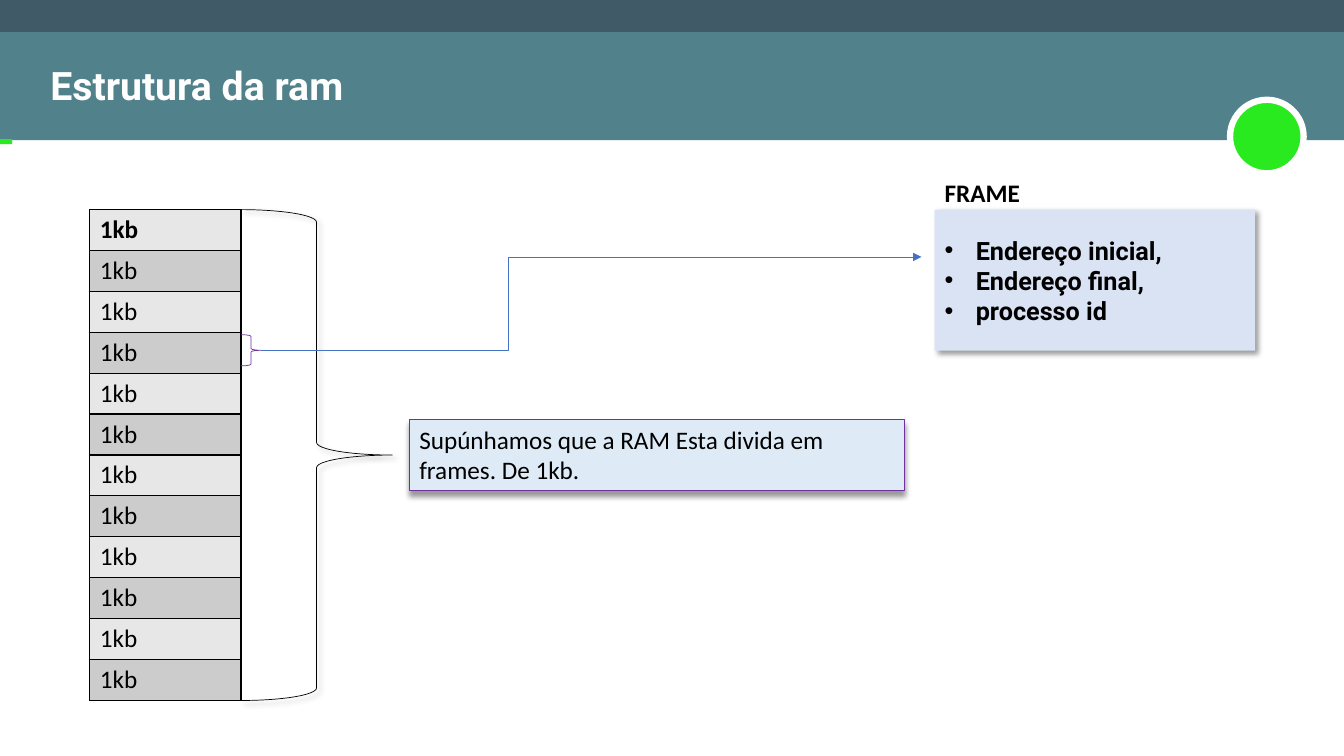
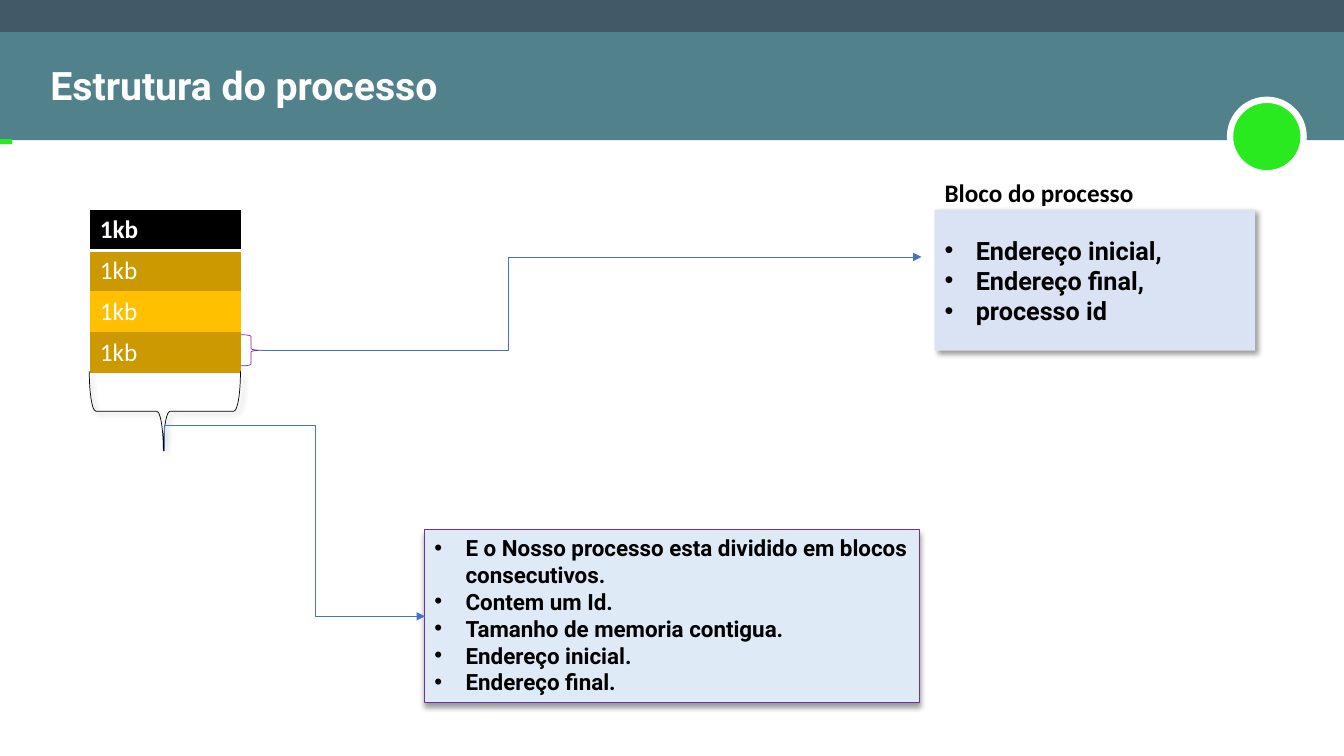
from lxml import etree
from pptx import Presentation
from pptx.dml.color import RGBColor
from pptx.enum.shapes import MSO_CONNECTOR as CONNECTOR, MSO_SHAPE as SHAPE
from pptx.enum.text import MSO_ANCHOR as ANCHOR, PP_ALIGN as ALIGN
from pptx.oxml.ns import qn
from pptx.util import Emu, Pt

EMU_PER_PX = 9144
SLIDE_SIZE = (1333, 750)

BLACK = RGBColor(0x00, 0x00, 0x00)
WHITE = RGBColor(0xFF, 0xFF, 0xFF)
SLATE = RGBColor(0x41, 0x5A, 0x67)
TEAL = RGBColor(0x51, 0x81, 0x8A)
GREEN = RGBColor(0x29, 0xE9, 0x1F)
PURPLE = RGBColor(0x70, 0x30, 0xA0)
ARROW_BLUE = RGBColor(0x44, 0x72, 0xC4)
NOTE_BLUE = RGBColor(0xDE, 0xEB, 0xF7)
RECORD_BLUE = RGBColor(0xDA, 0xE3, 0xF3)
LIGHT_GREY = RGBColor(0xE7, 0xE7, 0xE7)
MID_GREY = RGBColor(0xCC, 0xCC, 0xCC)
AMBER = RGBColor(0xFF, 0xC0, 0x00)
DARK_AMBER = RGBColor(0xCC, 0x9A, 0x00)

TITLE_FONT = {"name": "Roboto", "size": Pt(28), "bold": True}
LIST_FONT = {"name": "Roboto", "size": Pt(18), "bold": True}
SMALL_LIST_FONT = {**LIST_FONT, "size": Pt(16)}
BODY_FONT = {"name": "Calibri", "size": Pt(18), "bold": False}
HEADING_FONT = {**BODY_FONT, "bold": True}

RECORD_FIELDS = ["Endereço inicial,", "Endereço final,", "processo id"]
PROCESS_FACTS = [
    "E o Nosso processo esta dividido em blocos\nconsecutivos.",
    "Contem um Id.",
    "Tamanho de memoria contigua.",
    "Endereço inicial.",
    "Endereço final.",
]


def px(length):
    return Emu(length * EMU_PER_PX)


def emu_box(box):
    return [px(length) for length in box]


def add_xml(parent, tag, **attributes):
    element = etree.SubElement(parent, qn(tag))
    for name, value in attributes.items():
        element.set(name, str(value))
    return element


def add_bullet(paragraph):
    properties = paragraph._p.get_or_add_pPr()
    properties.set("marL", str(px(31)))
    properties.set("indent", str(px(-31)))
    add_xml(properties, "a:buFont", typeface="Arial")
    add_xml(properties, "a:buChar", char="•")


def write(frame, lines, font, color=BLACK, anchor=ANCHOR.TOP, bullets=False):
    frame.word_wrap = True
    frame.vertical_anchor = anchor
    for index, line in enumerate(lines):
        paragraph = frame.add_paragraph() if index else frame.paragraphs[0]
        paragraph.text = line
        paragraph.alignment = ALIGN.LEFT
        if bullets:
            add_bullet(paragraph)
        for run in paragraph.runs:
            for name, value in font.items():
                setattr(run.font, name, value)
            run.font.color.rgb = color


def add_figure(slide, kind, box, fill=None, line=None, weight=0.5, shadow_angle=None):
    """Add a preset shape; shadow_angle in degrees gives it a soft shadow."""
    figure = slide.shapes.add_shape(kind, *emu_box(box))
    figure.shadow.inherit = False
    if fill is None:
        figure.fill.background()
    else:
        figure.fill.solid()
        figure.fill.fore_color.rgb = fill
    if line is None:
        figure.line.fill.background()
    else:
        figure.line.color.rgb = line
        figure.line.width = Pt(weight)
    if shadow_angle is not None:
        effects = figure._element.spPr.find(qn("a:effectLst"))
        shadow = add_xml(effects, "a:outerShdw", blurRad=Pt(4), dist=Pt(3),
                         dir=shadow_angle * 60000, algn="t", rotWithShape=0)
        add_xml(add_xml(shadow, "a:srgbClr", val=BLACK), "a:alpha", val=40000)
    return figure


def add_elbow_arrow(slide, start, end, bends, turn=0):
    """Add a bent arrow; bends are thousandths of the frame, turn is in degrees."""
    arrow = slide.shapes.add_connector(CONNECTOR.ELBOW, *emu_box(start + end))
    arrow.line.color.rgb = ARROW_BLUE
    arrow.line.width = Pt(0.5)
    add_xml(arrow.line._get_or_add_ln(), "a:tailEnd", type="triangle")
    properties = arrow._element.spPr
    add_xml(properties, "a:effectLst")
    if turn:
        properties.find(qn("a:xfrm")).set("rot", str(turn * 60000))
    geometry = properties.find(qn("a:prstGeom"))
    geometry.set("prst", f"bentConnector{len(bends) + 2}")
    guides = geometry.find(qn("a:avLst"))
    if guides is None:
        guides = add_xml(geometry, "a:avLst")
    for number, bend in enumerate(bends, 1):
        add_xml(guides, "a:gd", name=f"adj{number}", fmla=f"val {bend * 100}")


def add_titled_slide(deck, title):
    slide = deck.slides.add_slide(deck.slide_layouts[5])
    width = SLIDE_SIZE[0]
    add_figure(slide, SHAPE.RECTANGLE, (0, 0, width, 32), SLATE)
    add_figure(slide, SHAPE.RECTANGLE, (0, 32, width, 107), TEAL)
    add_figure(slide, SHAPE.OVAL, (1220, 99, 73, 73), GREEN, WHITE, 4.5)
    add_figure(slide, SHAPE.RECTANGLE, (0, 138, 12, 5), GREEN)

    heading = slide.shapes.title
    slide.shapes.element.append(heading.element)  # above the bands
    for name, length in zip(("left", "top", "width", "height"), (40, 56, 611, 57)):
        setattr(heading, name, px(length))
    write(heading.text_frame, [title], TITLE_FONT, WHITE, ANCHOR.MIDDLE)
    return slide


def set_border(cell, side, color, weight):
    properties = cell._tc.get_or_add_tcPr()
    if color is None:
        add_xml(add_xml(properties, f"a:ln{side}", w=0), "a:noFill")
    else:
        line = add_xml(properties, f"a:ln{side}", w=Pt(weight))
        add_xml(add_xml(line, "a:solidFill"), "a:srgbClr", val=color)


def add_memory_blocks(slide, box, fills, text_color, border=None, header_rule=None):
    """Stack one 1kb cell per fill; header_rule colours the line under the first."""
    table = slide.shapes.add_table(len(fills), 1, *emu_box(box)).table
    table.first_row = table.horz_banding = False
    for row, fill in enumerate(fills):
        cell = table.cell(row, 0)
        for side in "LRTB":
            under_header = header_rule and (row, side) in ((0, "B"), (1, "T"))
            color, weight = (header_rule, 2) if under_header else (border, 1)
            set_border(cell, side, color, weight)
        cell.fill.solid()
        cell.fill.fore_color.rgb = fill
        write(cell.text_frame, ["1kb"], BODY_FONT if row else HEADING_FONT, text_color)


def add_record(slide, box, heading):
    """Heading over a panel of record fields, with the arrow from the fourth block."""
    left, top, width, height = box
    block_edge, block_middle = 239, 348
    add_figure(slide, SHAPE.RIGHT_BRACE, (block_edge, block_middle - 16, 20, 31),
               line=PURPLE)
    add_elbow_arrow(slide, (block_edge + 20, block_middle), (left - 13, top + 84), [374])
    panel = add_figure(slide, SHAPE.RECTANGLE, (left, top + 37, width, height - 37),
                       RECORD_BLUE, shadow_angle=45)
    write(panel.text_frame, RECORD_FIELDS, LIST_FONT, anchor=ANCHOR.MIDDLE, bullets=True)
    label = slide.shapes.add_textbox(*emu_box((left, top, width, 40)))
    write(label.text_frame, [heading], HEADING_FONT)


def add_note(slide, box, lines, font, bullets=False):
    note = add_figure(slide, SHAPE.RECTANGLE, box, NOTE_BLUE, PURPLE, 0.75, 90)
    write(note.text_frame, lines, font, bullets=bullets)


def build_ram_slide(deck, record_box):
    slide = add_titled_slide(deck, "Estrutura da ram")
    add_memory_blocks(slide, (89, 208, 150, 487), [LIGHT_GREY, MID_GREY] * 6,
                      BLACK, border=BLACK)
    add_figure(slide, SHAPE.RIGHT_BRACE, (239, 208, 150, 487), line=BLACK,
               shadow_angle=45)
    add_note(slide, (406, 416, 491, 71),
             ["Supúnhamos que a RAM Esta divida em frames. De 1kb."], BODY_FONT)
    add_record(slide, record_box, "FRAME")


def build_process_slide(deck, record_box):
    slide = add_titled_slide(deck, "Estrutura do processo")
    add_memory_blocks(slide, (89, 208, 150, 162), [BLACK, DARK_AMBER, AMBER, DARK_AMBER],
                      WHITE, header_rule=WHITE)
    brace = add_figure(slide, SHAPE.RIGHT_BRACE, (124, 333, 79, 150), line=BLACK,
                       shadow_angle=45)
    brace.rotation = 90
    brace.adjustments[1] = 0.51
    add_note(slide, (421, 525, 491, 172), PROCESS_FACTS, SMALL_LIST_FONT, bullets=True)
    add_record(slide, record_box, "Bloco do processo")
    add_elbow_arrow(slide, (374, 400), (210, 659), [-153, 580], turn=270)


def main():
    deck = Presentation()
    deck.slide_width, deck.slide_height = emu_box(SLIDE_SIZE)
    record_box = (927, 171, 318, 177)
    build_ram_slide(deck, record_box)
    build_process_slide(deck, record_box)
    deck.save("out.pptx")


if __name__ == "__main__":
    main()
